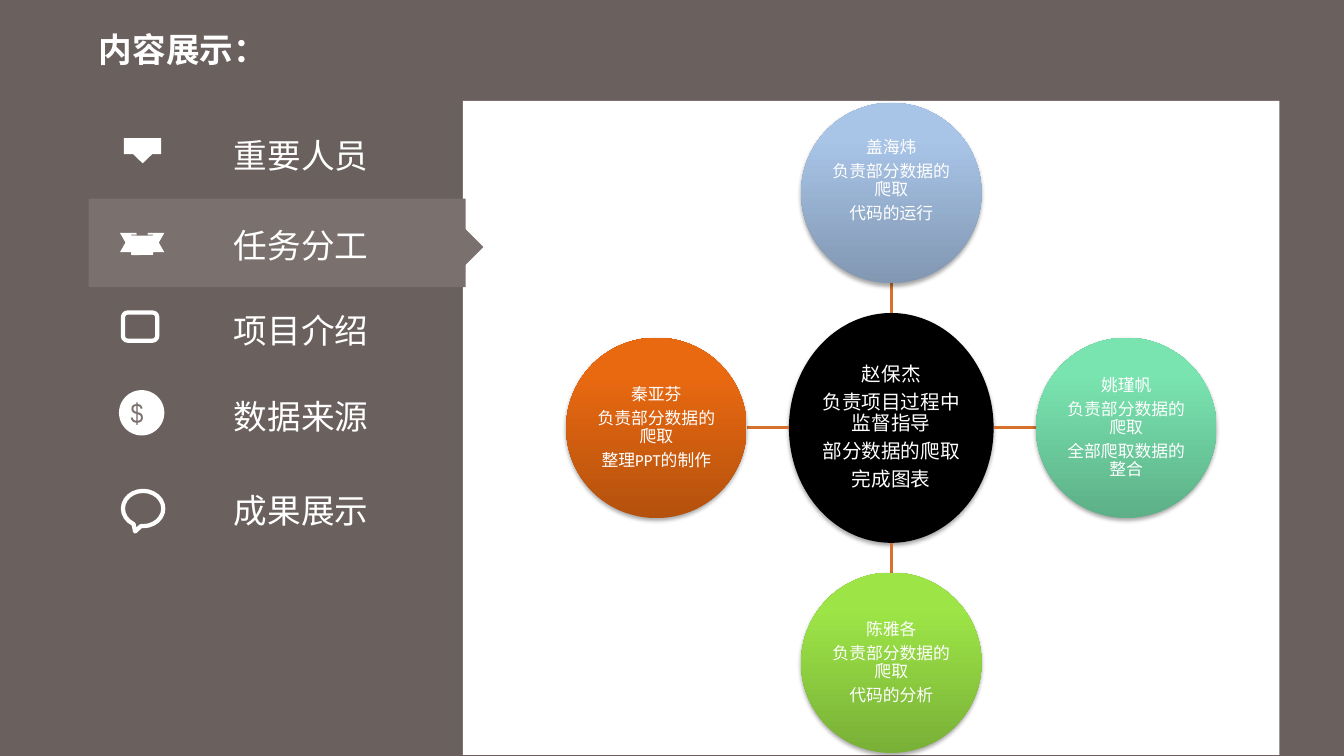
import pptx
import pptx.util
import pptx.dml.color
import pptx.enum.shapes
import pptx.enum.text
import pptx.oxml
import pptx.oxml.ns

Inches, Pt = pptx.util.Inches, pptx.util.Pt
SHAPE = pptx.enum.shapes.MSO_SHAPE
ALIGN = pptx.enum.text.PP_ALIGN
ANCHOR = pptx.enum.text.MSO_ANCHOR

COLORS = {
    "background": "6A605E", "highlight": "7A706E", "white": "FFFFFF",
    "hub": "000000", "link": "D7712B",
    "blue_dark": "8197B2", "blue": "A8C4E7",
    "mint_dark": "5DB087", "mint": "79E4B0",
    "lime_dark": "79B037", "lime": "9DE547",
    "orange_dark": "B4510D", "orange": "E96911",
}
SHARED_TASK = "负责部分数据的爬取"
HUB = ["赵保杰", "负责项目过程中监督指导", "部分数据的爬取", "完成图表"]
MEMBERS = [
    (0, -1, "blue", ["盖海炜", SHARED_TASK, "代码的运行"], 0.24),
    (1, 0, "mint", ["姚瑾帆", SHARED_TASK, "全部爬取数据的整合"], 0.01),
    (0, 1, "lime", ["陈雅各", SHARED_TASK, "代码的分析"], 0.01),
    (-1, 0, "orange", ["秦亚芬", SHARED_TASK, "整理PPT的制作"], 0.01),
]
MENU = [("重要人员", 1.52), ("任务分工", 2.41), ("项目介绍", 3.26),
        ("数据来源", 4.11), ("成果展示", 5.04)]


def rgb(name):
    return pptx.dml.color.RGBColor.from_string(COLORS[name])


def xml(tag, inner=""):
    ns = pptx.oxml.ns.nsdecls("a")
    name = tag.split()[0]
    return pptx.oxml.parse_xml(f"<{tag} {ns}>{inner}</{name}>")


def write(tf, lines, size=24, color="white", bold=False, font="Calibri",
          align=ALIGN.LEFT, anchor=ANCHOR.MIDDLE, insets=(0, 0, 0, 0),
          spacing=None, after=0):
    tf.word_wrap = True
    tf.auto_size = pptx.enum.text.MSO_AUTO_SIZE.NONE
    tf.vertical_anchor = anchor
    tf.margin_left, tf.margin_top, tf.margin_right, tf.margin_bottom = map(Inches, insets)
    for i, line in enumerate(lines):
        p = tf.paragraphs[0] if i == 0 else tf.add_paragraph()
        p.alignment = align
        p.line_spacing = spacing
        p.space_before, p.space_after = Pt(0), Pt(after)
        r = p.add_run()
        r.text = line
        r.font.name, r.font.size, r.font.bold = font, Pt(size), bold
        r.font.color.rgb = rgb(color)


def place(sp, x, y, w, h):
    sp.left, sp.top, sp.width, sp.height = map(Inches, (x, y, w, h))


def add_shape(s, kind, x, y, w, h, fill=None, line=None, rotation=0, adj=()):
    sp = s.shapes.add_shape(kind, *map(Inches, (x, y, w, h)))
    sp.shadow.inherit = False
    sp.rotation = rotation
    for i, value in enumerate(adj):
        sp.adjustments[i] = value
    if fill:
        sp.fill.solid()
        sp.fill.fore_color.rgb = rgb(fill)
    else:
        sp.fill.background()
    if line:
        sp.line.color.rgb = rgb(line)
        sp.line.width = Pt(3)
    else:
        sp.line.fill.background()
    return sp


def add_circle(s, cx, cy, w, h, fill, lines, size, bottom=0.01, shaded=True):
    sp = add_shape(s, SHAPE.OVAL, cx - w / 2, cy - h / 2, w, h, fill)
    if shaded:
        sp.fill.gradient()
        sp.fill.gradient_angle = 90
        for stop, name, position in zip(sp.fill.gradient_stops, (fill + "_dark", fill), (0, 0.8)):
            stop.color.rgb = rgb(name)
            stop.position = position
    effects = sp._element.spPr.find(pptx.oxml.ns.qn("a:effectLst"))
    effects.append(xml(
        'a:outerShdw blurRad="39370" dist="22860" dir="5400000" rotWithShape="0"',
        '<a:srgbClr val="000000"><a:alpha val="35000"/></a:srgbClr>'))
    write(sp.text_frame, lines, size, align=ALIGN.CENTER,
          insets=(0.01, 0.01, 0.01, bottom), spacing=0.9, after=size * 0.35)


def add_link(s, x1, y1, x2, y2):
    c = s.shapes.add_connector(pptx.enum.shapes.MSO_CONNECTOR.STRAIGHT,
                               *map(Inches, (x1, y1, x2, y2)))
    c.line.color.rgb = rgb("link")
    c.line.width = Pt(2)
    c._element.spPr.append(xml("a:effectLst"))


def add_title(s, x, y, w, h):
    place(s.shapes.title, x, y, w, h)
    write(s.shapes.title.text_frame, ["内容展示："], bold=True, insets=(0.1, 0.05, 0, 0.05))


def add_icons(s, x):
    add_shape(s, SHAPE.RECTANGLE, x + 0.05, 1.37, 0.37, 0.16, "white")
    add_shape(s, SHAPE.ISOSCELES_TRIANGLE, x + 0.1, 1.49, 0.27, 0.13, "white", rotation=180)
    add_shape(s, SHAPE.DOWN_RIBBON, x + 0.01, 2.31, 0.44, 0.22, "white", adj=(0.125, 0.5))
    add_shape(s, SHAPE.ROUNDED_RECTANGLE, x + 0.04, 3.1, 0.34, 0.28, line="white", adj=(0.167,))
    coin = add_shape(s, SHAPE.OVAL, x, 3.87, 0.45, 0.45, "white")
    write(coin.text_frame, ["$"], 20, "highlight", font="Arial Narrow",
          align=ALIGN.CENTER, insets=(0, 0, 0.09, 0))
    add_shape(s, SHAPE.OVAL_CALLOUT, x + 0.04, 4.87, 0.4, 0.35, line="white", adj=(-0.2, 0.65))


def add_menu(s, x, y, w, h):
    add_shape(s, SHAPE.RECTANGLE, x, y + 0.65, w, 0.88, "highlight")
    add_shape(s, SHAPE.RIGHT_TRIANGLE, x + w - 0.14, y + 1, 0.26, 0.26, "highlight", rotation=225)
    add_icons(s, x + 0.3)
    body = s.placeholders[1]
    place(body, x + 1.44, y, 2, h)
    s.shapes._spTree.append(body._element)
    tf = body.text_frame
    write(tf, [name for name, _ in MENU], anchor=ANCHOR.TOP, spacing=Pt(30))
    centers = [center for _, center in MENU]
    for p in tf.paragraphs:
        pPr = p._p.get_or_add_pPr()
        pPr.set("marL", "0")
        pPr.set("indent", "0")
        pPr.append(xml("a:buNone"))
    for p, above, center in zip(tf.paragraphs[1:], centers, centers[1:]):
        p.space_before = Pt(round((center - above) * 72 - 30, 1))


def add_team(s, x, y, w, h):
    add_shape(s, SHAPE.RECTANGLE, x, y, w, h, "white")
    cx, cy = x + w / 2 + 0.2, y + h / 2
    hub_w, hub_h, size, reach = 2.03, 2.28, 1.79, 2.33
    add_circle(s, cx, cy, hub_w, hub_h, "hub", HUB, 14, shaded=False)
    for dx, dy, color, lines, bottom in MEMBERS:
        edge = reach - size / 2
        add_link(s, cx + dx * hub_w / 2, cy + dy * hub_h / 2, cx + dx * edge, cy + dy * edge)
        add_circle(s, cx + dx * reach, cy + dy * reach, size, size, color, lines, 12, bottom)


prs = pptx.Presentation()
prs.slide_width, prs.slide_height = Inches(13.33), Inches(7.5)
s = prs.slides.add_slide(prs.slide_layouts[1])
s.background.fill.solid()
s.background.fill.fore_color.rgb = rgb("background")
add_title(s, 0.88, 0.23, 3, 0.51)
add_team(s, 4.59, 1, 8.1, 6.49)
add_menu(s, 0.88, 1.32, 3.74, 4.2)
prs.save("out.pptx")
